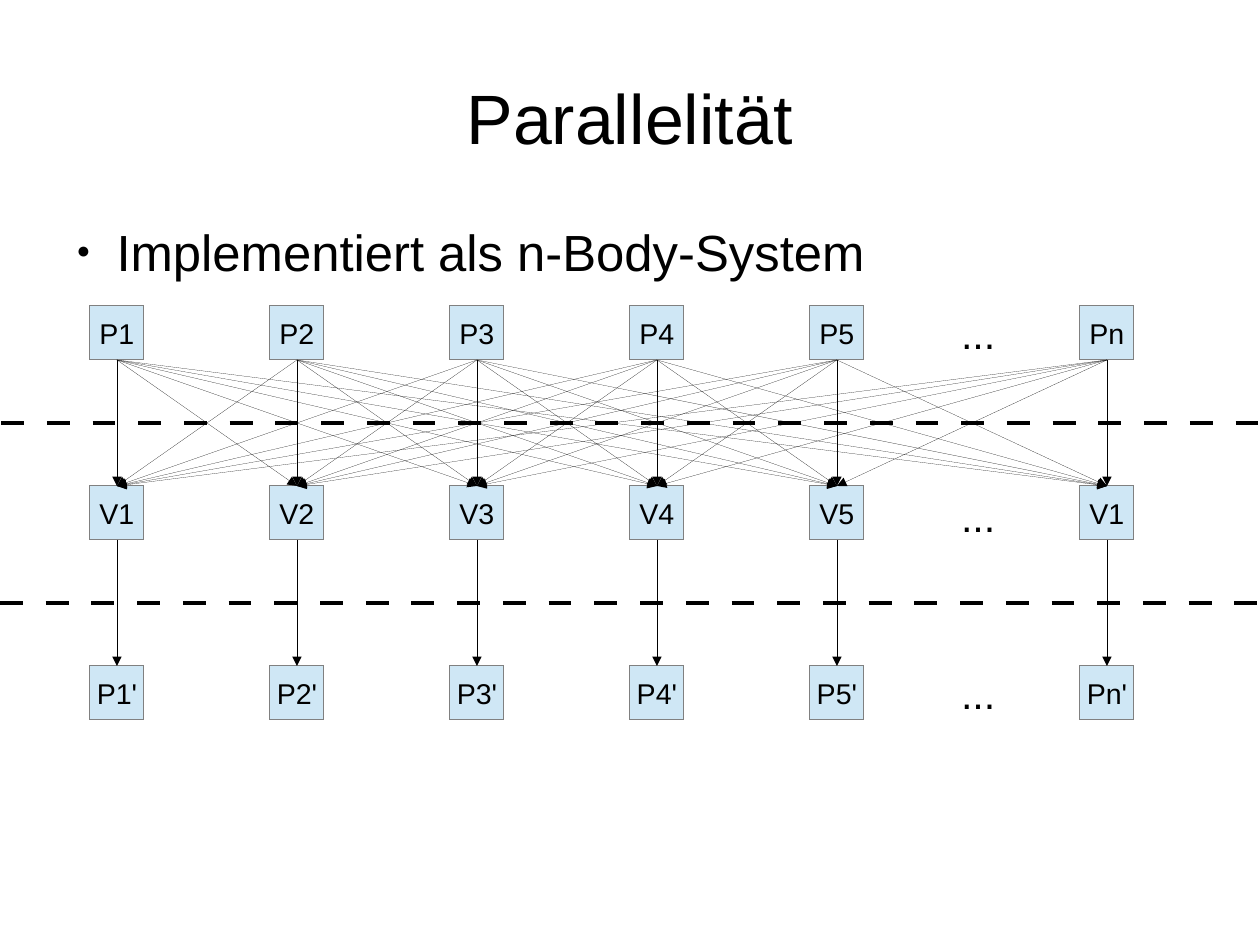
from lxml.etree import SubElement
from pptx import Presentation
from pptx.dml.color import RGBColor
from pptx.enum.shapes import MSO_CONNECTOR, MSO_SHAPE
from pptx.enum.text import MSO_ANCHOR, MSO_AUTO_SIZE, PP_ALIGN
from pptx.oxml.ns import qn
from pptx.util import Inches, Pt

BLACK = RGBColor(0x00, 0x00, 0x00)
BOX_FILL = RGBColor(0xCF, 0xE7, 0xF5)
BOX_BORDER = RGBColor(0x80, 0x80, 0x80)
FONT = "Arial"

# The slide and its grid are laid out in whole or tenth centimetres.
CM = 1 / 2.54
SLIDE_WIDTH, SLIDE_HEIGHT = 28 * CM, 21 * CM
PITCH = 4 * CM
BOX_SIZE = 1.2 * CM
FIRST_LEFT, FIRST_TOP = 2 * CM, 6.8 * CM
FIRST_BARRIER = 9.4 * CM
COLUMNS = (0, 1, 2, 3, 4, 5.5)
ROWS = (
    ("P1", "P2", "P3", "P4", "P5", "Pn"),
    ("V1", "V2", "V3", "V4", "V5", "V1"),
    ("P1'", "P2'", "P3'", "P4'", "P5'", "Pn'"),
)
ELLIPSIS_TOPS = (5.8, 4.25, 2.65)


def add_run(paragraph, text, size):
    run = paragraph.add_run()
    run.text = text
    run.font.name = FONT
    run.font.size = Pt(size)
    run.font.color.rgb = BLACK


def clear_margins(frame):
    frame.margin_left = frame.margin_right = 0
    frame.margin_top = frame.margin_bottom = 0


def set_hairline(line):
    """Write a zero width, which line.width would leave to the theme."""
    line._get_or_add_ln().set("w", "0")


def set_title(slide, text):
    title = slide.shapes.title
    title.left, title.top = Inches(0.55), Inches(0.33)
    title.width, title.height = Inches(9.92), Inches(1.38)
    frame = title.text_frame
    clear_margins(frame)
    frame.auto_size = MSO_AUTO_SIZE.NONE
    frame.vertical_anchor = MSO_ANCHOR.MIDDLE
    paragraph = frame.paragraphs[0]
    paragraph.alignment = PP_ALIGN.CENTER
    add_run(paragraph, text, 44)


def add_bullet_text(slide, text):
    body = slide.shapes.add_textbox(
        Inches(0.55), Inches(1.93), Inches(9.7), Inches(4.79))
    frame = body.text_frame
    frame.word_wrap = True
    clear_margins(frame)
    paragraph = frame.paragraphs[0]
    properties = paragraph._p.get_or_add_pPr()
    properties.set("marL", str(Inches(0.47)))
    properties.set("indent", str(Inches(-0.35)))
    bullet_color = SubElement(properties, qn("a:buClr"))
    SubElement(bullet_color, qn("a:srgbClr"), val=str(BLACK))
    SubElement(properties, qn("a:buSzPct"), val="45000")
    SubElement(properties, qn("a:buFont"), typeface=FONT)
    SubElement(properties, qn("a:buChar"), char="●")
    add_run(paragraph, text, 32)


def add_box(slide, column, row, label):
    box = slide.shapes.add_shape(
        MSO_SHAPE.FLOWCHART_PROCESS,
        Inches(FIRST_LEFT + column * PITCH), Inches(FIRST_TOP + row * PITCH),
        Inches(BOX_SIZE), Inches(BOX_SIZE))
    box.shadow.inherit = False
    box.fill.solid()
    box.fill.fore_color.rgb = BOX_FILL
    box.line.color.rgb = BOX_BORDER
    set_hairline(box.line)
    frame = box.text_frame
    frame.word_wrap = False
    frame.vertical_anchor = MSO_ANCHOR.MIDDLE
    paragraph = frame.paragraphs[0]
    paragraph.alignment = PP_ALIGN.CENTER
    add_run(paragraph, label, 18)
    return box


def add_line(slide, left, right, top):
    connector = slide.shapes.add_connector(
        MSO_CONNECTOR.STRAIGHT,
        Inches(left), Inches(top), Inches(right), Inches(top))
    connector.line.color.rgb = BLACK
    SubElement(connector._element.spPr, qn("a:effectLst"))
    return connector


def add_arrow(slide, source, target):
    """Join the bottom of source to the top of target."""
    arrow = add_line(slide, 0, 0, 0)
    arrow.begin_connect(source, 2)
    arrow.end_connect(target, 0)
    set_hairline(arrow.line)
    SubElement(arrow.line._get_or_add_ln(), qn("a:tailEnd"), type="triangle")


def add_barrier(slide, left, top):
    """Draw a dashed synchronisation line across the slide."""
    barrier = add_line(slide, left, SLIDE_WIDTH, top)
    barrier.line.width = Pt(2.83)
    dashes = SubElement(barrier.line._get_or_add_ln(), qn("a:custDash"))
    SubElement(dashes, qn("a:ds"), d="508000", sp="508000")


def add_ellipsis(slide, top):
    ellipsis = slide.shapes.add_textbox(
        Inches(8.31), Inches(top), Inches(0.55), Inches(0.5))
    ellipsis.text_frame.word_wrap = True
    add_run(ellipsis.text_frame.paragraphs[0], "...", 26)


def main():
    presentation = Presentation()
    presentation.slide_width = Inches(SLIDE_WIDTH)
    presentation.slide_height = Inches(SLIDE_HEIGHT)
    slide = presentation.slides.add_slide(presentation.slide_layouts[5])

    add_barrier(slide, 0.01, FIRST_BARRIER)
    set_title(slide, "Parallelität")
    add_bullet_text(slide, "Implementiert als n-Body-System")

    positions, velocities, new_positions = [
        [add_box(slide, column, row, label)
         for column, label in zip(COLUMNS, labels)]
        for row, labels in enumerate(ROWS)
    ]
    for velocity in velocities:
        for position in positions:
            add_arrow(slide, position, velocity)
    for velocity, new_position in zip(velocities, new_positions):
        add_arrow(slide, velocity, new_position)

    for top in ELLIPSIS_TOPS:
        add_ellipsis(slide, top)
    add_barrier(slide, 0, FIRST_BARRIER + PITCH)
    presentation.save("out.pptx")


if __name__ == "__main__":
    main()
